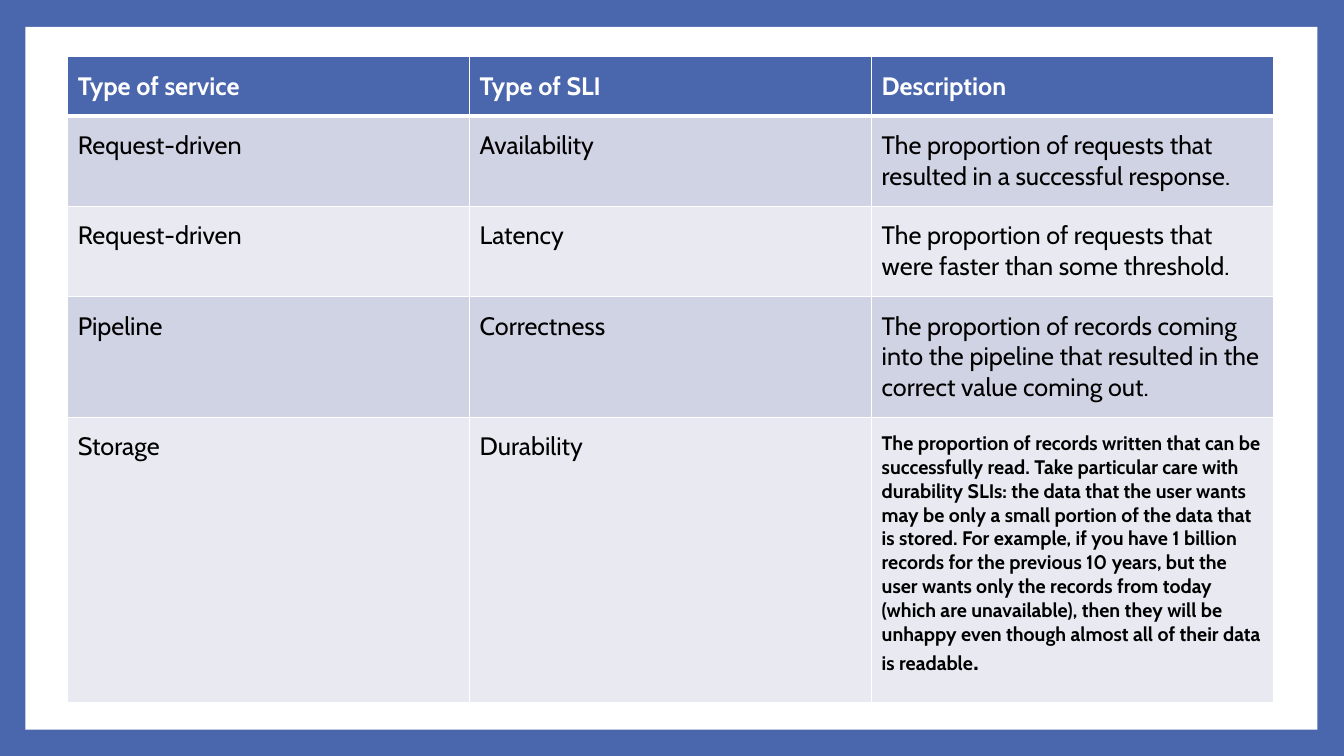
from lxml import etree
from pptx import Presentation
from pptx.dml.color import RGBColor
from pptx.enum.shapes import MSO_SHAPE
from pptx.oxml.ns import qn
from pptx.util import Cm, Pt

RECTANGLE = MSO_SHAPE.RECTANGLE
BLUE, WHITE, BLACK = "4A66AC", "FFFFFF", "000000"
BANDS = ("D0D3E3", "E9EAF1")
HEADER = ("Type of service", "Type of SLI", "Description")
SERVICES = (
    ("Request-driven", "Availability",
     "The proportion of requests that resulted in a successful response."),
    ("Request-driven", "Latency",
     "The proportion of requests that were faster than some threshold."),
    ("Pipeline", "Correctness",
     "The proportion of records coming into the pipeline that resulted in "
     "the correct value coming out."),
)
DURABILITY = (
    "The proportion of records written that can be successfully read. "
    "Take particular care with durability SLIs: the data that the user wants "
    "may be only a small portion of the data that is stored. For example, "
    "if you have 1 billion records for the previous 10 years, but the user "
    "wants only the records from today (which are unavailable), then they "
    "will be unhappy even though almost all of their data is readable"
)
ROW_HEIGHTS = (1.37, 2.11, 2.11, 2.82, 7.19)


def color(value):
    return RGBColor.from_string(value)


class SlideBuilder:
    """Draws styled elements on the current slide."""

    font = "Cabin"
    size = 18

    def __init__(self, slide):
        self.slide = slide

    def background(self, fill):
        self.slide.background.fill.solid()
        self.slide.background.fill.fore_color.rgb = color(fill)

    def panel(self, left, top, width, height, fill):
        shape = self.slide.shapes.add_shape(
            RECTANGLE, Cm(left), Cm(top), Cm(width), Cm(height))
        shape.shadow.inherit = False
        shape.fill.solid()
        shape.fill.fore_color.rgb = color(fill)
        shape.line.fill.background()

    def table(self, left, top, column_width, row_heights, columns):
        table = self.slide.shapes.add_table(
            len(row_heights), columns, Cm(left), Cm(top),
            Cm(column_width * columns), Cm(sum(row_heights))).table
        for column in table.columns:
            column.width = Cm(column_width)
        for row, height in zip(table.rows, row_heights):
            row.height = Cm(height)
        return table

    def borders(self, cell, top, bottom):
        properties = cell._tc.get_or_add_tcPr()
        for side, width in (("L", 1), ("R", 1), ("T", top), ("B", bottom)):
            line = etree.SubElement(properties, qn(f"a:ln{side}"), w=str(Pt(width)))
            fill = etree.SubElement(line, qn("a:solidFill"))
            etree.SubElement(fill, qn("a:srgbClr"), val=WHITE)

    def cell(self, cell, runs, fill, text_color, right, top_border, bottom_border):
        self.borders(cell, top_border, bottom_border)
        cell.fill.solid()
        cell.fill.fore_color.rgb = color(fill)
        cell.margin_left, cell.margin_right = Cm(0.25), Cm(right)
        cell.margin_top = cell.margin_bottom = Cm(0.36)
        paragraph = cell.text_frame.paragraphs[0]
        for text, size, bold in runs:
            run = paragraph.add_run()
            run.text = text
            run.font.name = self.font
            run.font.size = Pt(size)
            run.font.bold = bold
            run.font.color.rgb = color(text_color)


def main():
    presentation = Presentation()
    presentation.slide_width, presentation.slide_height = Cm(33.87), Cm(19.05)
    builder = SlideBuilder(presentation.slides.add_slide(presentation.slide_layouts[6]))
    builder.background(BLUE)
    builder.panel(0.64, 0.68, 32.56, 17.71, WHITE)

    size = builder.size
    rows = [[[(text, size, True)] for text in HEADER]]
    rows += [[[(text, size, False)] for text in service] for service in SERVICES]
    rows.append([[("Storage", size, False)], [("Durability", size, False)],
                 [(DURABILITY, 14, True), (".", size, True)]])

    table = builder.table(1.71, 1.43, 10.13, ROW_HEIGHTS, len(HEADER))
    for row_index, row in enumerate(rows):
        is_header = row_index == 0
        fill = BLUE if is_header else BANDS[(row_index - 1) % 2]
        for column_index, runs in enumerate(row):
            builder.cell(
                table.cell(row_index, column_index), runs, fill,
                text_color=WHITE if is_header else BLACK,
                right=0.25 if is_header else 0.18,
                top_border=3 if row_index == 1 else 1,
                bottom_border=3 if is_header else 1)
    presentation.save("out.pptx")


if __name__ == "__main__":
    main()
